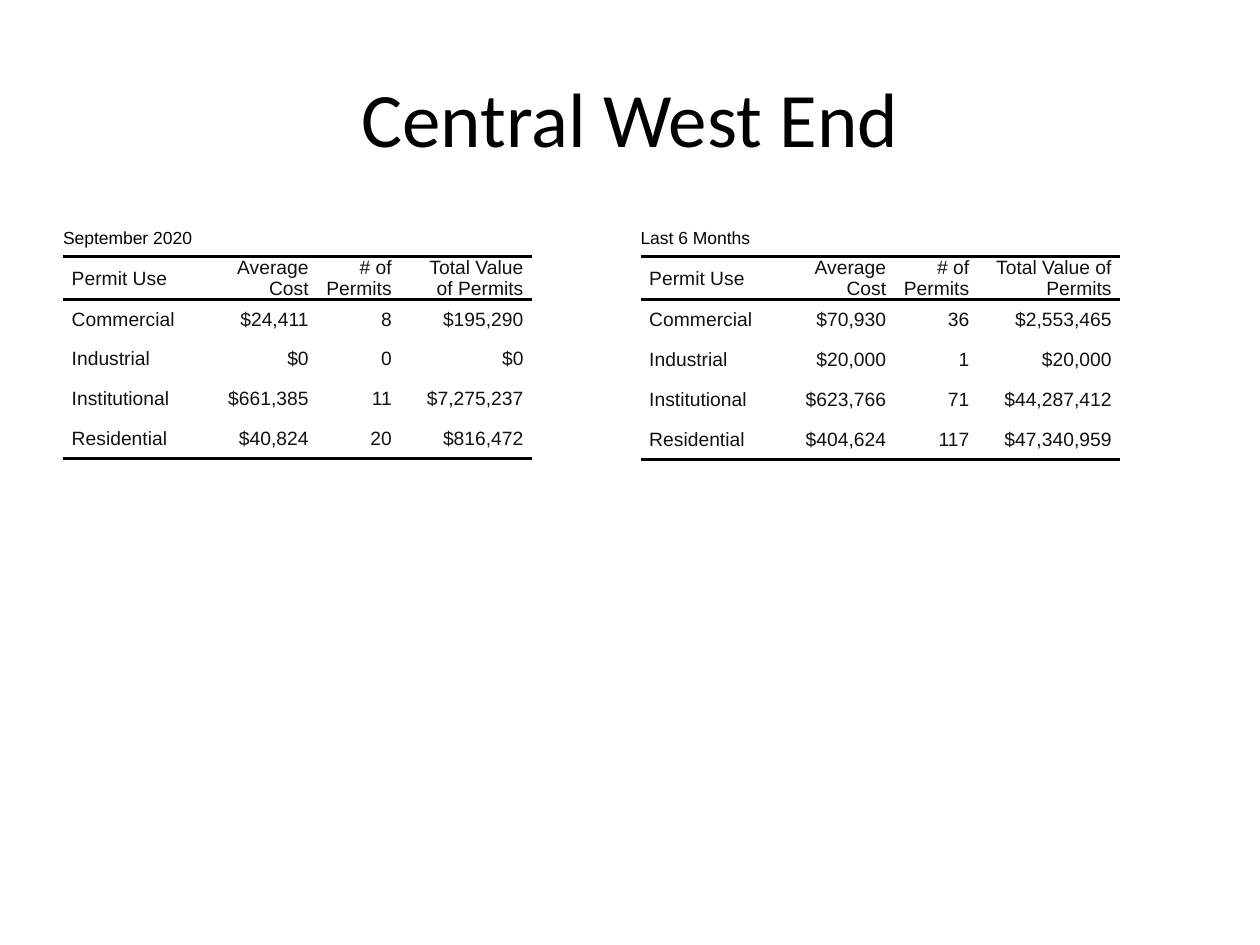
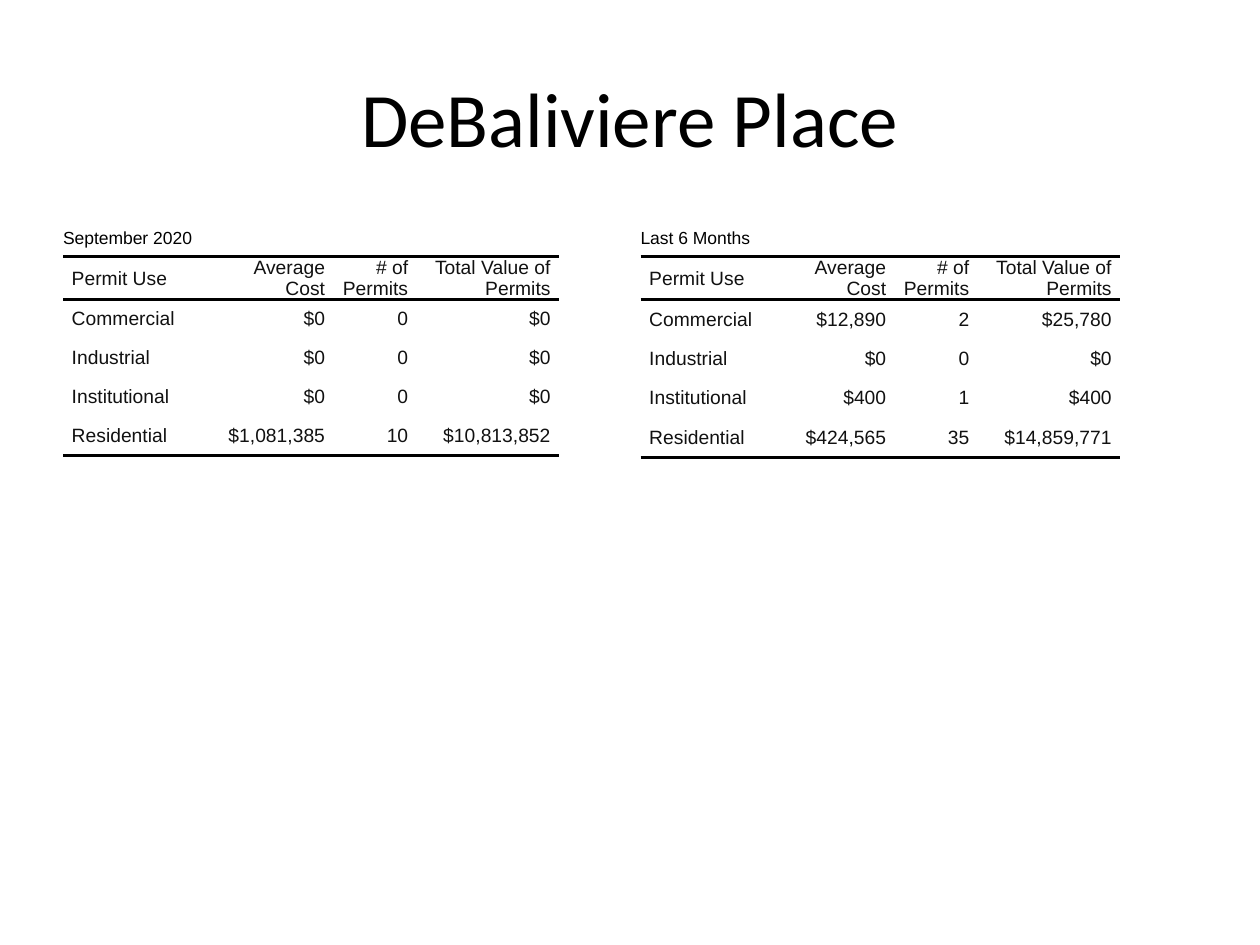
from dataclasses import dataclass

import pptx
import pptx.dml.color
import pptx.enum.text
import pptx.oxml
import pptx.oxml.ns
import pptx.presentation
import pptx.slide
import pptx.table
import pptx.util
from pptx.util import Pt

BLACK = "000000"
CELL_GREY = "111111"
NO_STYLE_NO_GRID = "{2D5ABB26-0587-4C30-8999-92F81FD0307C}"
PP_ALIGN = pptx.enum.text.PP_ALIGN
MIDDLE = pptx.enum.text.MSO_ANCHOR.MIDDLE

MONTH, HALF_YEAR = "September 2020", "Last 6 Months"
TABLE_LEFT = {MONTH: 36, HALF_YEAR: 366}
TABLE_TOP, TABLE_WIDTH, TABLE_HEIGHT = 126, 318.24, 356.4
HEAD_HEIGHT = 20.8
INDENT = 5
RULE_WIDTH = 2

HEADER = ("Permit Use", "Average Cost", "# of Permits", "Total Value of Permits")
USES = ("Commercial", "Industrial", "Institutional", "Residential")
USE_WIDTH, COUNT_WIDTH = 79.2, 47.5
NARROW_COST, WIDE_COST = 66.2, 75.6
NARROW_TOTAL, WIDE_TOTAL = 75.3, 81.4


@dataclass(frozen=True)
class PermitTable:
    """Permits of one period; figures hold cost, count and total for each use."""
    period: str
    cost_width: float
    total_width: float
    row_height: float
    figures: tuple[tuple[str, str, str], ...]


@dataclass(frozen=True)
class Neighborhood:
    name: str
    tables: tuple[PermitTable, ...]


NEIGHBORHOODS = (
    Neighborhood("Central West End", (
        PermitTable(MONTH, NARROW_COST, NARROW_TOTAL, 22.65, (
            ("$24,411", "8", "$195,290"),
            ("$0", "0", "$0"),
            ("$661,385", "11", "$7,275,237"),
            ("$40,824", "20", "$816,472"))),
        PermitTable(HALF_YEAR, NARROW_COST, WIDE_TOTAL, 22.8, (
            ("$70,930", "36", "$2,553,465"),
            ("$20,000", "1", "$20,000"),
            ("$623,766", "71", "$44,287,412"),
            ("$404,624", "117", "$47,340,959"))))),
    Neighborhood("DeBaliviere Place", (
        PermitTable(MONTH, WIDE_COST, WIDE_TOTAL, 22.3, (
            ("$0", "0", "$0"),
            ("$0", "0", "$0"),
            ("$0", "0", "$0"),
            ("$1,081,385", "10", "$10,813,852"))),
        PermitTable(HALF_YEAR, NARROW_COST, WIDE_TOTAL, 22.5, (
            ("$12,890", "2", "$25,780"),
            ("$0", "0", "$0"),
            ("$400", "1", "$400"),
            ("$424,565", "35", "$14,859,771"))))),
)


def rgb(color: str) -> pptx.dml.color.RGBColor:
    return pptx.dml.color.RGBColor.from_string(color)


def write(tf, text: str, font: str, size: float, color: str, align: PP_ALIGN):
    """Put one formatted run in the frame and return its paragraph."""
    p = tf.paragraphs[0]
    p.alignment = align
    r = p.add_run()
    r.text = text
    for name, value in {"name": font, "size": Pt(size)}.items():
        setattr(r.font, name, value)
    r.font.color.rgb = rgb(color)
    return p


def rule(cell: pptx.table._Cell, sides: str) -> None:
    """Draw black borders on the given sides, in the order T, B."""
    tc_pr = cell._tc.get_or_add_tcPr()
    for i, side in enumerate(sides):
        tc_pr.insert(i, pptx.oxml.parse_xml(
            f'<a:ln{side} {pptx.oxml.ns.nsdecls("a")} w="{Pt(RULE_WIDTH)}">'
            f'<a:solidFill><a:srgbClr val="{BLACK}"/></a:solidFill></a:ln{side}>'))


def prepare(cell: pptx.table._Cell) -> None:
    cell.fill.background()
    cell.vertical_anchor = MIDDLE
    for side in ("left", "right", "top", "bottom"):
        setattr(cell, f"margin_{side}", 0)


def add_permit_table(s: pptx.slide.Slide, spec: PermitTable) -> None:
    rows = [HEADER, *((use, *values) for use, values in zip(USES, spec.figures))]
    frame = s.shapes.add_table(len(rows) + 1, len(HEADER), Pt(TABLE_LEFT[spec.period]),
                               Pt(TABLE_TOP), Pt(TABLE_WIDTH), Pt(TABLE_HEIGHT))
    table = frame.table
    table.first_row = table.horz_banding = False
    table._tbl.tblPr.find(pptx.oxml.ns.qn("a:tableStyleId")).text = NO_STYLE_NO_GRID
    widths = (USE_WIDTH, spec.cost_width, COUNT_WIDTH, spec.total_width)
    for column, width in zip(table.columns, widths):
        column.width = Pt(width)
    for i, row in enumerate(table.rows):
        row.height = Pt(HEAD_HEIGHT if i < 2 else spec.row_height)
    for cell in table.iter_cells():
        prepare(cell)

    caption = table.cell(0, 0)
    caption.merge(table.cell(0, len(HEADER) - 1))
    write(caption.text_frame, spec.period, "Arial", 10, BLACK, PP_ALIGN.LEFT)
    borders = {1: "TB", len(rows): "B"}
    for i, texts in enumerate(rows, start=1):
        for j, text in enumerate(texts):
            cell = table.cell(i, j)
            align = PP_ALIGN.RIGHT if j else PP_ALIGN.LEFT
            p = write(cell.text_frame, text, "Arial", 11, CELL_GREY, align)
            for margin in ("marL", "marR"):
                p._p.get_or_add_pPr().set(margin, str(Pt(INDENT)))
            rule(cell, borders.get(i, ""))
    frame.width, frame.height = Pt(TABLE_WIDTH), Pt(TABLE_HEIGHT)


def add_title(s: pptx.slide.Slide, text: str) -> None:
    title = s.shapes.title
    box = {"left": 36, "top": 21.6, "width": 648, "height": 90}
    for name, value in box.items():
        setattr(title, name, Pt(value))
    title.text_frame.vertical_anchor = MIDDLE
    write(title.text_frame, text, "Calibri", 44, BLACK, PP_ALIGN.CENTER)


def add_neighborhood(prs: pptx.presentation.Presentation, area: Neighborhood) -> None:
    s = prs.slides.add_slide(prs.slide_layouts.get_by_name("Title Only"))
    add_title(s, area.name)
    for spec in area.tables:
        add_permit_table(s, spec)


def main() -> None:
    prs = pptx.Presentation()
    prs.slide_width, prs.slide_height = Pt(720), Pt(540)
    for area in NEIGHBORHOODS:
        add_neighborhood(prs, area)
    prs.save("out.pptx")


if __name__ == "__main__":
    main()
